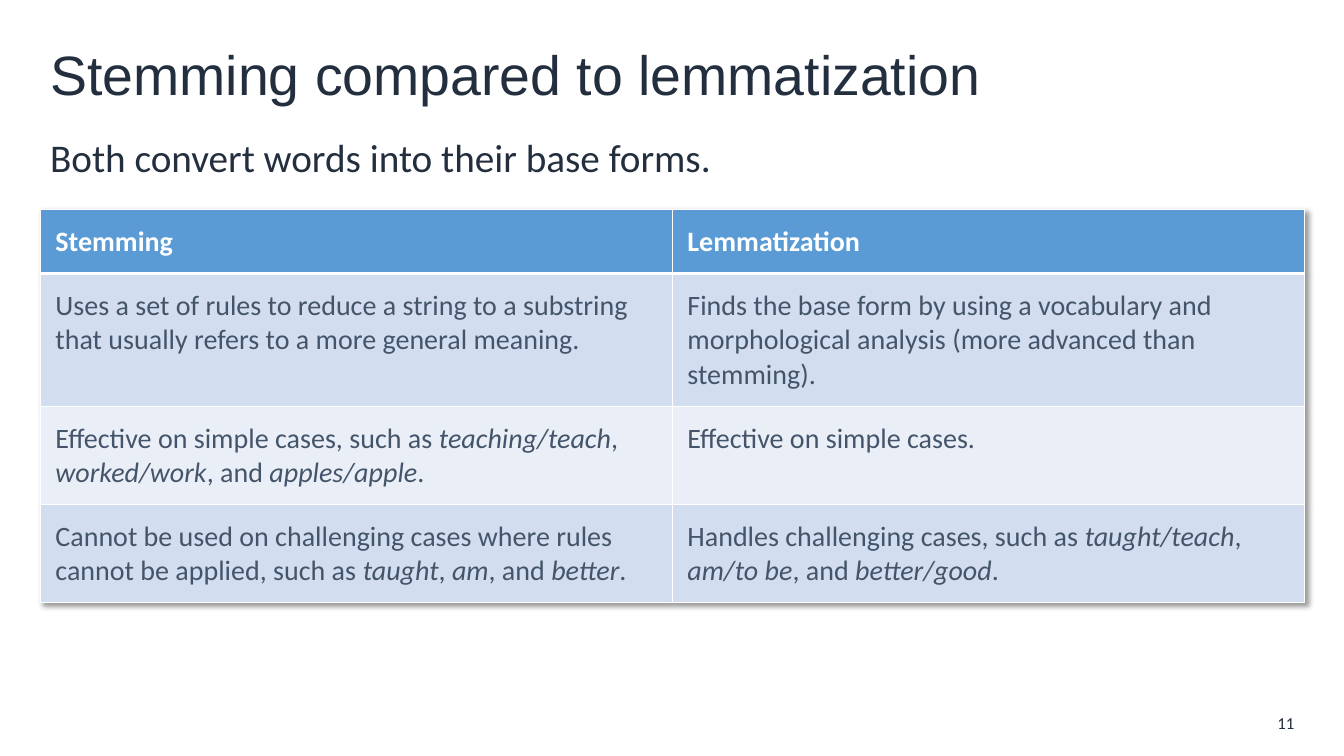
from lxml import etree
from pptx import Presentation
from pptx.dml.color import RGBColor
from pptx.enum import text
from pptx.oxml import parse_xml
from pptx.util import Pt

TITLE = "Stemming compared to lemmatization"
INTRO = "Both convert words into their base forms."
PAGE = "11"
ROWS = [
    ("Stemming", "Lemmatization"),
    ("Uses a set of rules to reduce a string to a substring that usually refers to a more general meaning.",
     "Finds the base form by using a vocabulary and morphological analysis (more advanced than stemming)."),
    ("Effective on simple cases, such as *teaching/teach*, *worked/work*, and *apples/apple*.",
     "Effective on simple cases."),
    ("Cannot be used on challenging cases where rules cannot be applied, such as *taught*, *am*, and *better*.",
     "Handles challenging cases, such as *taught/teach*, *am/to be*, and *better/good*."),
]
ROW_HEIGHTS = [45, 95, 70, 70]
LEFT, WIDTH = 28.8, 902.88
CELL_INSET = 10.8

INK = RGBColor(0x23, 0x2F, 0x3E)
SLATE = RGBColor(0x44, 0x54, 0x6A)
WHITE = RGBColor(0xFF, 0xFF, 0xFF)
HEADER = RGBColor(0x5B, 0x9B, 0xD5)
BANDS = [RGBColor(0xEA, 0xEF, 0xF7), RGBColor(0xD2, 0xDE, 0xEF)]
NS = "http://schemas.openxmlformats.org/drawingml/2006/main"


def write(tf, content, size, color=INK, font="Calibri", bold=False, align=text.PP_ALIGN.LEFT):
    tf.word_wrap = True
    p = tf.paragraphs[0]
    p.alignment = align
    for i, part in enumerate(content.split("*")):
        r = p.add_run()
        r.text = part
        r.font.size = Pt(size)
        r.font.name = font
        r.font.color.rgb = color
        r.font.bold = bold
        r.font.italic = i % 2 == 1


def place(sp, left, top, width, height):
    sp.left, sp.top, sp.width, sp.height = Pt(left), Pt(top), Pt(width), Pt(height)


def border(cell, bottom):
    pr = cell._tc.get_or_add_tcPr()
    for i, (side, width) in enumerate([("L", 1), ("R", 1), ("T", 1), ("B", bottom)]):
        ln = etree.Element(f"{{{NS}}}ln{side}", w=str(Pt(width)))
        fill = etree.SubElement(ln, f"{{{NS}}}solidFill")
        etree.SubElement(fill, f"{{{NS}}}srgbClr", val=str(WHITE))
        pr.insert(i, ln)


def add_comparison(s):
    frame = s.shapes.add_table(len(ROWS), 2, Pt(LEFT), Pt(149.8), Pt(WIDTH), Pt(sum(ROW_HEIGHTS)))
    table = frame.table
    for row, height in zip(table.rows, ROW_HEIGHTS):
        row.height = Pt(height)
    for i, contents in enumerate(ROWS):
        head = i == 0
        for j, content in enumerate(contents):
            cell = table.cell(i, j)
            cell.margin_left = cell.margin_right = Pt(CELL_INSET)
            cell.margin_top = cell.margin_bottom = Pt(CELL_INSET)
            cell.fill.solid()
            cell.fill.fore_color.rgb = HEADER if head else BANDS[i % 2]
            border(cell, 3 if head else 1)
            write(cell.text_frame, content, 20, color=WHITE if head else SLATE, bold=head)
    table._tbl.tblPr.insert(0, parse_xml(
        f'<a:effectLst xmlns:a="{NS}"><a:outerShdw blurRad="{Pt(4)}" dist="{Pt(3)}" dir="2700000" '
        'algn="tl" rotWithShape="0"><a:srgbClr val="000000"><a:alpha val="40000"/></a:srgbClr>'
        '</a:outerShdw></a:effectLst>'))


def main():
    prs = Presentation()
    prs.slide_width, prs.slide_height = Pt(960), Pt(540)
    s = prs.slides.add_slide(prs.slide_layouts[5])

    title = s.shapes.title
    place(title, LEFT, 23.8, WIDTH, 57.6)
    title.text_frame.auto_size = text.MSO_AUTO_SIZE.NONE
    title.text_frame.vertical_anchor = text.MSO_ANCHOR.MIDDLE
    write(title.text_frame, TITLE, 39.6, font="Arial")

    intro = s.shapes.add_textbox(Pt(LEFT), Pt(92), Pt(WIDTH), Pt(44))
    write(intro.text_frame, INTRO, 28)

    add_comparison(s)

    number = s.shapes.add_textbox(Pt(893.5), Pt(507.6), Pt(38.2), Pt(18))
    number.text_frame.vertical_anchor = text.MSO_ANCHOR.MIDDLE
    write(number.text_frame, PAGE, 12, align=text.PP_ALIGN.RIGHT)

    prs.save("out.pptx")


if __name__ == "__main__":
    main()
